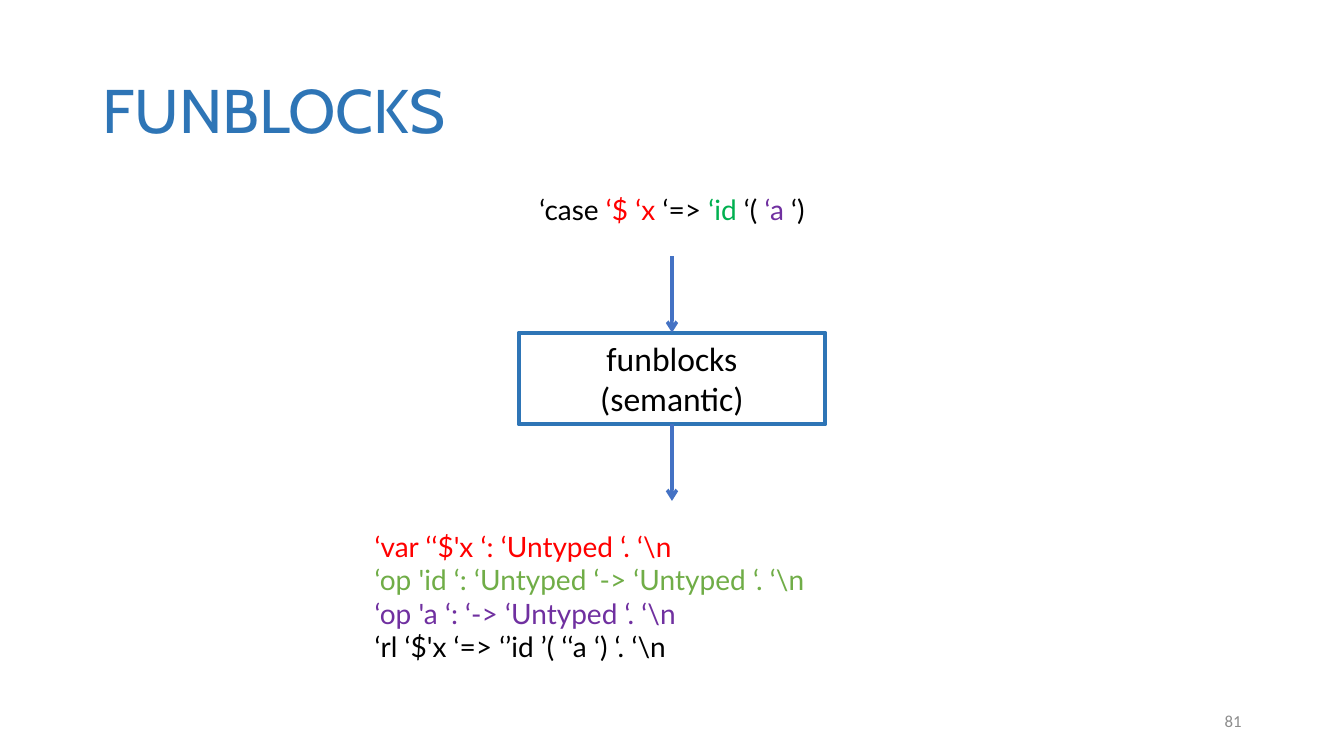
from dataclasses import dataclass

from lxml import etree
from pptx import Presentation
from pptx.dml.color import RGBColor
from pptx.enum.shapes import MSO_CONNECTOR, MSO_SHAPE
from pptx.enum.text import MSO_ANCHOR, PP_ALIGN
from pptx.oxml.ns import qn
from pptx.util import Pt

STRAIGHT = MSO_CONNECTOR.STRAIGHT
RECTANGLE = MSO_SHAPE.RECTANGLE
TOP, MIDDLE = MSO_ANCHOR.TOP, MSO_ANCHOR.MIDDLE
LEFT, CENTER, RIGHT = PP_ALIGN.LEFT, PP_ALIGN.CENTER, PP_ALIGN.RIGHT

BLACK, RED, PURPLE = "000000", "FF0000", "7030A0"
BLUE, ARROW_BLUE, GREY = "2E75B6", "4472C4", "8C8C8C"
GREEN, LIGHT_GREEN = "00B050", "70AD47"
CENTER_X = 480
BOX_TOP, BOX_WIDTH, BOX_HEIGHT = 237.6, 219, 65.5
ARROW_LENGTH = 54.7


@dataclass
class Span:
    text: str
    color: str = BLACK


@dataclass
class TextBlock:
    left: float
    top: float
    width: float
    height: float
    lines: list[list[Span]]
    font: str
    size: float
    align: PP_ALIGN = LEFT
    anchor: MSO_ANCHOR = TOP
    spacing: float = 1.0


BLOCKS = [
    TextBlock(66, 28.8, 828, 104.4, [[Span("FUNBLOCKS", BLUE)]],
              "Cabin", 44, anchor=MIDDLE, spacing=0.9),
    TextBlock(678, 500.4, 216, 28.8, [[Span("81", GREY)]],
              "Calibri", 12, RIGHT, MIDDLE),
    # Tokens going in
    TextBlock(260.5, 133.9, 439, 31.7,
              [[Span("‘case "), Span("‘$ ‘x ", RED), Span("‘=> "), Span("‘id ", GREEN),
                Span("‘( "), Span("‘a", PURPLE), Span(" ‘)")]],
              "Lato", 20, CENTER),
    # Declarations coming out
    TextBlock(260.5, 374.4, 517, 104.4,
              [[Span("‘var ‘‘$'x ‘: ‘Untyped ‘. ‘\\n", RED)],
               [Span("‘op 'id ‘: ‘Untyped ‘-> ‘Untyped ‘. ‘\\n", LIGHT_GREEN)],
               [Span("‘op 'a ‘: ‘-> ‘Untyped ‘. ‘\\n", PURPLE)],
               [Span("‘rl ‘$'x ‘=> ‘’id ’( ‘‘a ‘) ‘. ‘\\n")]],
              "Lato", 20),
]
SEMANTIC_BOX = TextBlock(CENTER_X - BOX_WIDTH / 2, BOX_TOP, BOX_WIDTH, BOX_HEIGHT,
                         [[Span("funblocks")], [Span("(semantic)")]],
                         "Calibri", 24, CENTER)


def rgb(color: str) -> RGBColor:
    return RGBColor.from_string(color)


def fill_text(shape, block: TextBlock) -> None:
    frame = shape.text_frame
    frame.word_wrap = True
    frame.vertical_anchor = block.anchor
    for index, line in enumerate(block.lines):
        para = frame.add_paragraph() if index else frame.paragraphs[0]
        para.alignment = block.align
        para.line_spacing = block.spacing
        para.font.name = block.font
        para.font.size = Pt(block.size)
        for span in line:
            run = para.add_run()
            run.text = span.text
            run.font.color.rgb = rgb(span.color)


def frame_of(block: TextBlock) -> list[Pt]:
    return [Pt(value) for value in (block.left, block.top, block.width, block.height)]


def add_arrow(page, top: float):
    arrow = page.shapes.add_connector(STRAIGHT, Pt(CENTER_X), Pt(top),
                                      Pt(CENTER_X), Pt(top + ARROW_LENGTH))
    arrow.line.color.rgb = rgb(ARROW_BLUE)
    arrow.line.width = Pt(2.5)
    etree.SubElement(arrow.line._get_or_add_ln(), qn("a:tailEnd"), type="arrow")
    etree.SubElement(arrow._element.spPr, qn("a:effectLst"))
    return arrow


def main() -> None:
    deck = Presentation()
    deck.slide_width, deck.slide_height = Pt(960), Pt(540)
    page = deck.slides.add_slide(deck.slide_layouts[6])

    # Free text
    for block in BLOCKS:
        fill_text(page.shapes.add_textbox(*frame_of(block)), block)

    # Processing step
    box = page.shapes.add_shape(RECTANGLE, *frame_of(SEMANTIC_BOX))
    box.shadow.inherit = False
    box.fill.background()
    box.line.color.rgb = rgb(BLUE)
    box.line.width = Pt(3)
    fill_text(box, SEMANTIC_BOX)

    # Arrows into and out of the step
    add_arrow(page, BOX_TOP - ARROW_LENGTH).end_connect(box, 0)
    add_arrow(page, BOX_TOP + BOX_HEIGHT).begin_connect(box, 2)

    deck.save("out.pptx")


if __name__ == "__main__":
    main()
